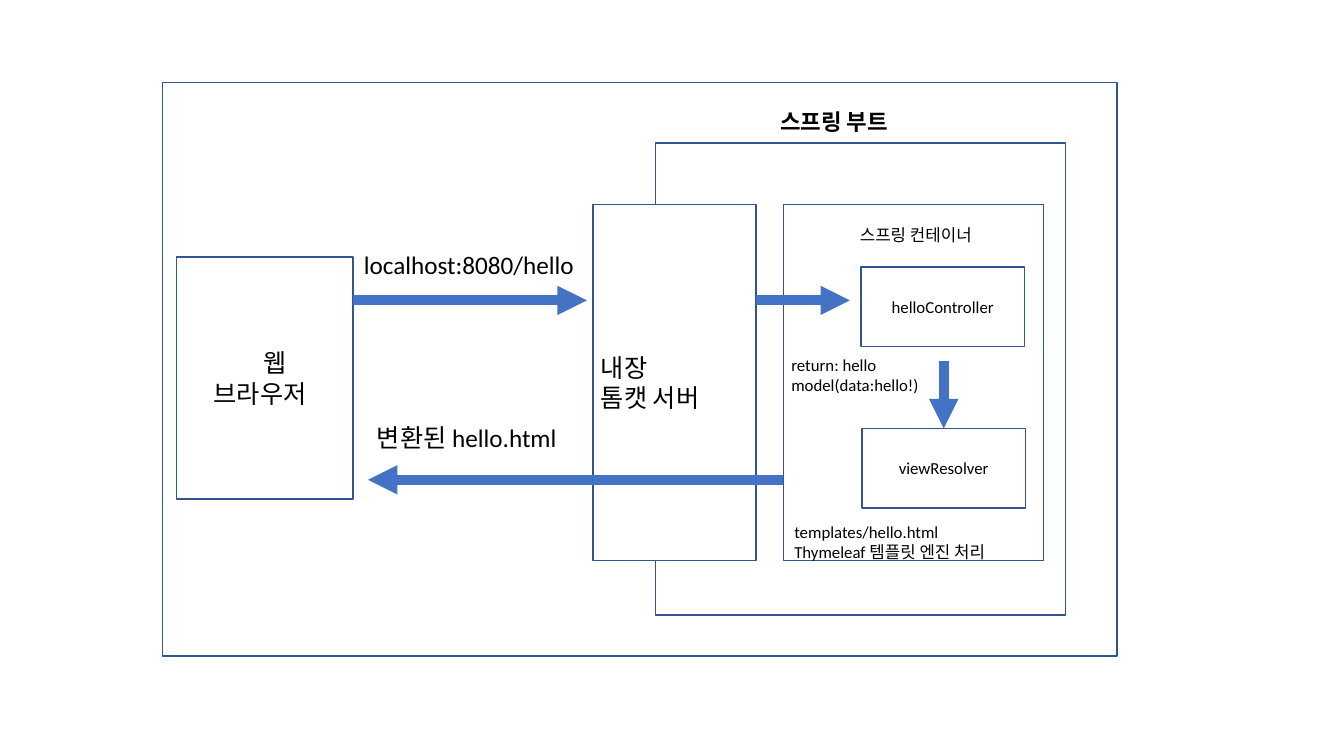
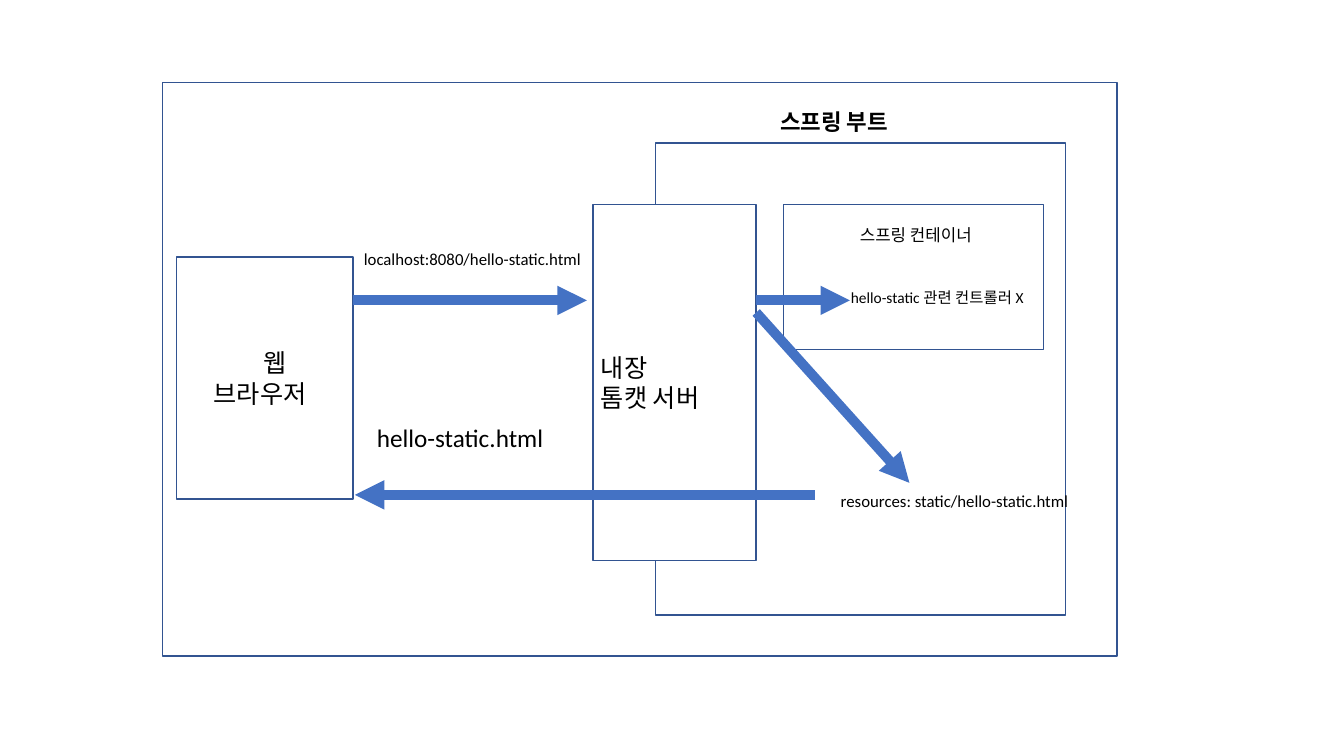
from dataclasses import dataclass

from lxml import etree
from pptx import Presentation
from pptx.dml.color import RGBColor
from pptx.enum.shapes import MSO_CONNECTOR, MSO_SHAPE
from pptx.enum.text import MSO_ANCHOR, MSO_AUTO_SIZE, PP_ALIGN
from pptx.oxml.ns import qn
from pptx.util import Inches, Pt

RECTANGLE = MSO_SHAPE.RECTANGLE
STRAIGHT = MSO_CONNECTOR.STRAIGHT
LEFT, CENTER = PP_ALIGN.LEFT, PP_ALIGN.CENTER
MIDDLE = MSO_ANCHOR.MIDDLE
GROW = MSO_AUTO_SIZE.SHAPE_TO_FIT_TEXT
TOP_SIDE = 0
BLANK_LAYOUT = 6


@dataclass(frozen=True)
class Theme:
    font: str = "Calibri"
    text: RGBColor = RGBColor(0x00, 0x00, 0x00)
    paper: RGBColor = RGBColor(0xFF, 0xFF, 0xFF)
    outline: RGBColor = RGBColor(0x32, 0x54, 0x91)
    arrow: RGBColor = RGBColor(0x44, 0x72, 0xC4)
    large: int = 18
    heading: int = 16
    small: int = 12
    tiny: int = 11
    outline_width: int = 1
    arrow_width: int = 7


def cells(count):
    """Turn a number of grid columns or rows into a length; ten make an inch."""
    return Inches(count / 10)


class Diagram:
    def __init__(self, deck, theme):
        self.deck, self.theme = deck, theme
        self.page = None

    def new_page(self):
        layout = self.deck.slide_layouts[BLANK_LAYOUT]
        self.page = self.deck.slides.add_slide(layout)

    def set_text(self, frame, text, size, bold=False, align=LEFT):
        frame.text = text
        frame.word_wrap = False
        for para in frame.paragraphs:
            para.alignment = align
            for span in para.runs:
                span.font.name = self.theme.font
                span.font.size = Pt(size)
                span.font.bold = bold
                span.font.color.rgb = self.theme.text

    def box(self, column, row, width, height, filled=True):
        box = self.page.shapes.add_shape(
            RECTANGLE, *map(cells, (column, row, width, height)))
        box.shadow.inherit = False
        if filled:
            box.fill.solid()
            box.fill.fore_color.rgb = self.theme.paper
        else:
            box.fill.background()
        box.line.color.rgb = self.theme.outline
        box.line.width = Pt(self.theme.outline_width)
        return box

    def caption(self, box, text, size, align=CENTER, inset=1):
        """Set text inside a box, halfway down."""
        frame = box.text_frame
        frame.vertical_anchor = MIDDLE
        frame.margin_left = cells(inset)
        self.set_text(frame, text, size, align=align)

    def label(self, column, row, width, height, text, size, bold=False):
        label = self.page.shapes.add_textbox(
            *map(cells, (column, row, width, height)))
        self.set_text(label.text_frame, text, size, bold)
        label.text_frame.auto_size = GROW

    def arrow(self, start, end, target=None):
        """Draw an arrow, joined to the top of target if one is given."""
        arrow = self.page.shapes.add_connector(
            STRAIGHT, *map(cells, (*start, *end)))
        if target is not None:
            arrow.end_connect(target, TOP_SIDE)
        arrow.line.color.rgb = self.theme.arrow
        arrow.line.width = Pt(self.theme.arrow_width)
        properties = arrow._element.spPr
        outline = properties.find(qn("a:ln"))
        etree.SubElement(outline, qn("a:tailEnd"), type="triangle")
        etree.SubElement(properties, qn("a:effectLst"))

    def server_scene(self, container_height):
        """Draw the browser, server and container that every page shows."""
        theme = self.theme
        self.box(65, 14.2, 40.7, 46.8, filled=False)
        self.box(16.1, 8.2, 94.7, 56.9, filled=False)
        self.label(76.4, 10.2, 13.7, 3.7, "스프링 부트", theme.heading, bold=True)

        browser = self.box(17.5, 25.5, 17.5, 24, filled=False)
        self.caption(browser, "웹\n브라우저", theme.large, LEFT, inset=3.7)
        first_line = browser.text_frame.paragraphs[0]
        first_line._p.get_or_add_pPr().set("indent", str(cells(4.9)))

        server = self.box(58.8, 20.3, 16.2, 35.3)
        self.caption(server, "내장\n톰캣 서버", theme.large, LEFT, inset=0.8)
        self.arrow((35, 29.8), (58.2, 29.8))

        self.box(77.7, 20.3, 25.8, container_height)
        self.label(84.3, 21.8, 14.2, 3, "스프링 컨테이너", theme.small)
        self.arrow((75, 29.8), (84.3, 29.8))

    def template_page(self):
        theme = self.theme
        self.new_page()
        self.server_scene(container_height=35.3)
        self.label(35.1, 24.2, 23.1, 4, "localhost:8080/hello", theme.large)
        self.label(36.4, 41.4, 20.6, 4, "변환된 hello.html", theme.large)
        self.arrow((77.7, 47.6), (36.5, 47.6))

        controller = self.box(85.4, 26.5, 16.2, 7.9)
        self.caption(controller, "helloController", theme.small)
        resolver = self.box(85.5, 42.5, 16.2, 7.9)
        self.caption(resolver, "viewResolver", theme.small)
        self.arrow((93.6, 35.8), (93.6, 42.5), target=resolver)
        self.label(77.5, 34.7, 14.8, 5,
                   "return: hello\nmodel(data:hello!)", theme.small)
        self.label(77.8, 51.3, 22.6, 5,
                   "templates/hello.html\nThymeleaf 템플릿 엔진 처리", theme.small)

    def static_page(self):
        theme = self.theme
        self.new_page()
        self.server_scene(container_height=14.4)
        self.label(35.1, 24.2, 23.8, 3,
                   "localhost:8080/hello-static.html", theme.small)
        self.label(36.4, 41.4, 18.7, 4, "hello-static.html", theme.large)
        self.label(83.4, 28.1, 20, 2.9,
                   "hello-static 관련 컨트롤러 X", theme.tiny)
        self.arrow((75, 31), (90.2, 47.9))
        self.label(82.4, 48.2, 24.9, 3,
                   "resources: static/hello-static.html", theme.small)
        self.arrow((80.8, 49.1), (35.2, 49.1))


def main():
    deck = Presentation()
    deck.slide_width, deck.slide_height = Inches(13.33), Inches(7.5)
    diagram = Diagram(deck, Theme())
    diagram.template_page()
    diagram.static_page()
    deck.save("out.pptx")


if __name__ == "__main__":
    main()
